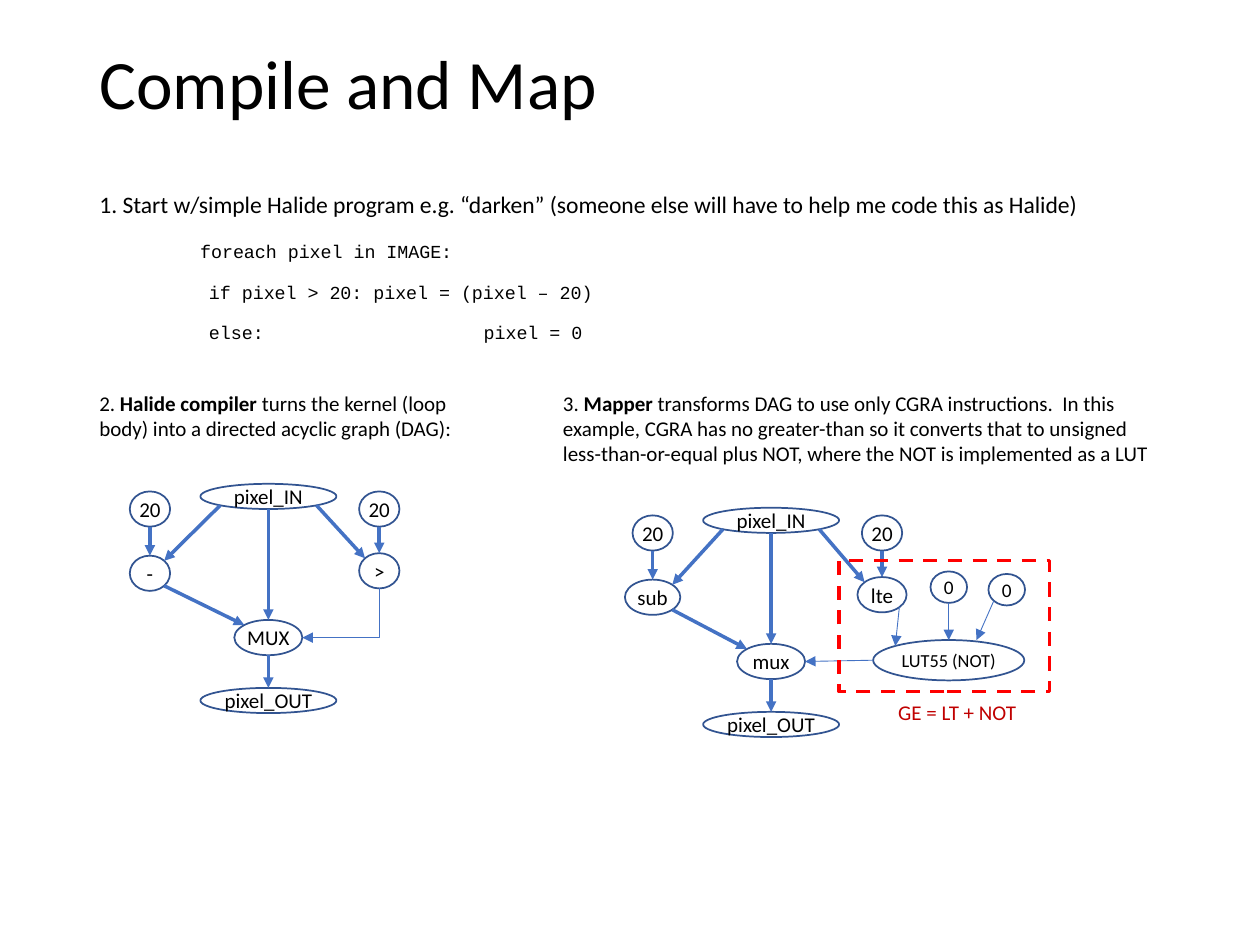
from math import cos, sin, radians
from lxml.etree import SubElement
from pptx import Presentation
from pptx.dml.color import RGBColor
from pptx.enum.dml import MSO_LINE
from pptx.enum.shapes import MSO_CONNECTOR, MSO_SHAPE
from pptx.enum.text import MSO_ANCHOR, PP_ALIGN
from pptx.oxml.ns import qn
from pptx.util import Inches, Pt

BLACK = RGBColor(0x00, 0x00, 0x00)
NAVY = RGBColor(0x32, 0x54, 0x91)
BLUE = RGBColor(0x44, 0x72, 0xC4)
RED = RGBColor(0xFF, 0x00, 0x00)
DARK_RED = RGBColor(0xC0, 0x00, 0x00)

# Angles of the connection points on an ellipse, clockwise from the right
SITES = {"right": 0, "bottom right": 45, "bottom": 90, "bottom left": 135,
         "left": 180, "top left": 225, "top": 270, "top right": 315}


def write(paragraph, text, size=12, font="Calibri", color=BLACK, bold=False,
          align=None, line=None, before=None, indent=None, tab=None):
    """Add a run of text to a paragraph and format both."""
    run = paragraph.add_run()
    run.text = text
    run.font.size, run.font.name, run.font.bold = Pt(size), font, bold
    run.font.color.rgb = color
    if align is not None:
        paragraph.alignment = align
    if line:
        paragraph.line_spacing = line
    if before:
        paragraph.space_before = Pt(before)
    properties = paragraph._p.get_or_add_pPr()
    if indent:
        properties.set("marL", str(Inches(indent)))
    if tab:
        tabs = SubElement(properties, qn("a:tabLst"))
        SubElement(tabs, qn("a:tab"), pos=str(Inches(tab)), algn="l")


class Canvas:
    def __init__(self, slide):
        self.slide = slide

    def text_box(self, left, top, width, height, anchor=MSO_ANCHOR.TOP, wrap=True):
        shape = self.slide.shapes.add_textbox(
            Inches(left), Inches(top), Inches(width), Inches(height))
        frame = shape.text_frame
        frame.word_wrap, frame.vertical_anchor = wrap, anchor
        return frame

    def outline(self, kind, left, top, width, height, color, weight):
        shape = self.slide.shapes.add_shape(
            kind, Inches(left), Inches(top), Inches(width), Inches(height))
        shape.shadow.inherit = False
        shape.fill.background()
        shape.line.color.rgb, shape.line.width = color, Pt(weight)
        return shape

    def node(self, label, x, y, width=0.32, height=0.28, size=12):
        """Draw an ellipse centred on x, y and return its geometry."""
        shape = self.outline(MSO_SHAPE.OVAL, x - width / 2, y - height / 2,
                             width, height, NAVY, 1)
        frame = shape.text_frame
        frame.margin_left = frame.margin_right = 0
        frame.margin_top = frame.margin_bottom = 0
        frame.vertical_anchor = MSO_ANCHOR.MIDDLE
        write(frame.paragraphs[0], label, size=size, align=PP_ALIGN.CENTER)
        return x, y, width, height

    def site(self, node, name):
        x, y, width, height = node
        angle = radians(SITES[name])
        return x + width / 2 * cos(angle), y + height / 2 * sin(angle)

    def arrow(self, source, start, target, end, weight=2, bent=False):
        x1, y1 = self.site(source, start)
        x2, y2 = self.site(target, end)
        kind = MSO_CONNECTOR.STRAIGHT
        if bent:
            # A one-corner elbow is a quarter turn of its unrotated frame
            kind = MSO_CONNECTOR.ELBOW
            x, y = (x1 + x2) / 2, (y1 + y2) / 2
            half_width, half_height = abs(y2 - y1) / 2, abs(x2 - x1) / 2
            x1, x2 = x - half_width, x + half_width
            y1, y2 = y - half_height, y + half_height
        connector = self.slide.shapes.add_connector(
            kind, Inches(x1), Inches(y1), Inches(x2), Inches(y2))
        connector.line.color.rgb, connector.line.width = BLUE, Pt(weight)
        properties = connector._element.spPr
        if bent:
            properties.find(qn("a:xfrm")).set("rot", "5400000")
            properties.find(qn("a:prstGeom")).set("prst", "bentConnector2")
        SubElement(properties.find(qn("a:ln")), qn("a:tailEnd"), type="triangle")
        SubElement(properties, qn("a:effectLst"))

    def graph(self, x, y, subtract, compare, select):
        """Draw the kernel graph around the centre of its input node."""
        source = self.node("pixel_IN", x, y, 1.08, 0.2)
        left_value = self.node("20", x - 0.94, y + 0.1)
        right_value = self.node("20", x + 0.88, y + 0.1)
        left = self.node(subtract[0], x - 0.94, y + 0.61, subtract[1])
        right = self.node(compare[0], x + 0.88, y + 0.59, compare[1])
        mux = self.node(select, x, y + 1.12, 0.54)
        result = self.node("pixel_OUT", x, y + 1.62, 1.08, 0.2)
        for begin, start, finish, end in (
                (left_value, "bottom", left, "top"),
                (right_value, "bottom", right, "top"),
                (source, "bottom right", right, "top left"),
                (source, "bottom left", left, "top right"),
                (left, "bottom right", mux, "top left"),
                (source, "bottom", mux, "top"),
                (mux, "bottom", result, "top")):
            self.arrow(begin, start, finish, end)
        return right, mux


presentation = Presentation()
presentation.slide_width, presentation.slide_height = Inches(10), Inches(7.5)
canvas = Canvas(presentation.slides.add_slide(presentation.slide_layouts[6]))

# Title
title = canvas.text_box(0.69, 0.4, 8.62, 0.58, MSO_ANCHOR.MIDDLE)
write(title.paragraphs[0], "Compile and Map", size=39.6, line=0.9)

# Step 1: the program
program = canvas.text_box(0.69, 1.48, 8.62, 1.29)
write(program.paragraphs[0],
      "1. Start w/simple Halide program e.g. “darken” "
      "(someone else will have to help me code this as Halide)",
      size=13.5, line=0.9)
for code, indent, before in (
        ("foreach pixel in IMAGE:", 0.8, 12),
        ("if pixel > 20: pixel = (pixel – 20)", 0.87, 10),
        ("else:\tpixel = 0", 0.87, 10)):
    write(program.add_paragraph(), code, size=10.5, font="Courier New",
          line=1.05, before=before, indent=indent,
          tab=2.18 if "\t" in code else None)

# Steps 2 and 3: captions
for left, width, height, number, name, rest in (
        (0.69, 3.04, 0.5, "2. ", "Halide compiler",
         " turns the kernel (loop body) into a directed acyclic graph (DAG):"),
        (4.37, 4.94, 0.71, "3. ", "Mapper",
         " transforms DAG to use only CGRA instructions.  In this example, CGRA "
         "has no greater-than so it converts that to unsigned less-than-or-equal "
         "plus NOT, where the NOT is implemented as a LUT")):
    caption = canvas.text_box(left, 3.05, width, height).paragraphs[0]
    write(caption, number)
    write(caption, name, bold=True)
    write(caption, rest)

# Compiler graph
greater, mux = canvas.graph(2.13, 3.94, ("-", 0.32), (">", 0.32), "MUX")
canvas.arrow(greater, "bottom", mux, "right", weight=0.5, bent=True)

# Mapper graph with the lookup table
less, mux = canvas.graph(6.12, 4.13, ("sub", 0.44), ("lte", 0.39), "mux")
table = canvas.node("LUT55 (NOT)", 7.53, 5.24, 1.2, 0.32, size=10.5)
first_zero = canvas.node("0", 7.53, 4.66, 0.29, 0.25, size=11)
second_zero = canvas.node("0", 7.99, 4.68, 0.29, 0.25, size=11)
canvas.arrow(less, "bottom right", table, "top left", weight=0.5)
canvas.arrow(first_zero, "bottom", table, "top", weight=0.5)
# This arrow ends between two connection points of the table
canvas.arrow(second_zero, "bottom left", (7.75, 5.08, 0, 0), "top", weight=0.5)
canvas.arrow(table, "left", mux, "right", weight=0.5)

# Replaced comparison
frame = canvas.outline(MSO_SHAPE.RECTANGLE, 6.66, 4.45, 1.67, 1.04, RED, 2)
frame.line.dash_style = MSO_LINE.DASH
note = canvas.text_box(7.03, 5.5, 1.15, 0.3, wrap=False)
write(note.paragraphs[0], "GE = LT + NOT", color=DARK_RED)

presentation.save("out.pptx")
